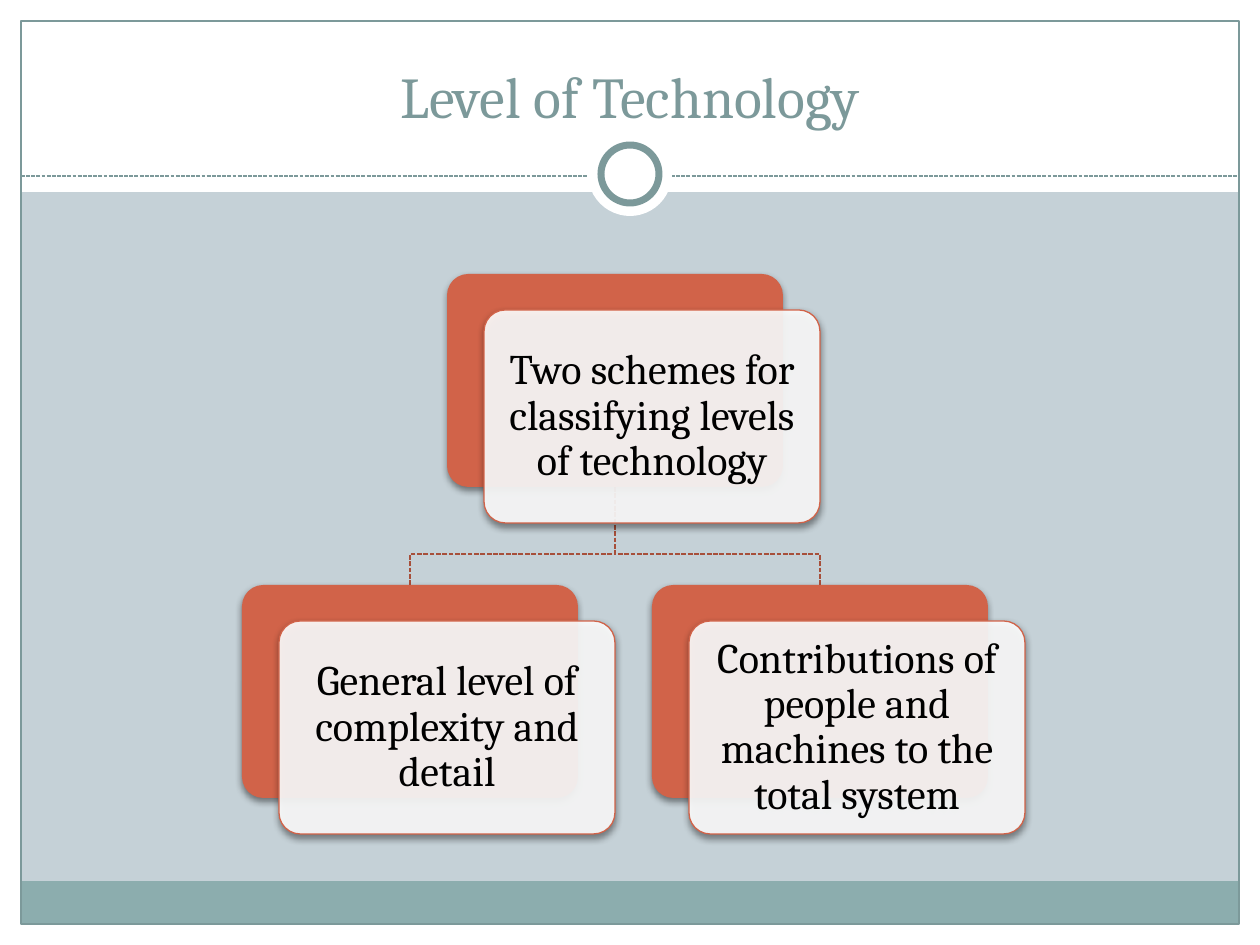
from lxml import etree
from pptx import Presentation
from pptx.dml.color import RGBColor
from pptx.enum.dml import MSO_LINE
from pptx.enum.shapes import MSO_CONNECTOR, MSO_SHAPE
from pptx.enum.text import MSO_ANCHOR, PP_ALIGN
from pptx.oxml.ns import qn
from pptx.util import Emu, Pt

PX = 914400 / 126
RECTANGLE, OVAL, ROUNDED = MSO_SHAPE.RECTANGLE, MSO_SHAPE.OVAL, MSO_SHAPE.ROUNDED_RECTANGLE
STRAIGHT = MSO_CONNECTOR.STRAIGHT
DASH = MSO_LINE.SQUARE_DOT
CENTER, MIDDLE, BOTTOM = PP_ALIGN.CENTER, MSO_ANCHOR.MIDDLE, MSO_ANCHOR.BOTTOM
FONT = "Cambria"
SLIDE_WIDTH, SLIDE_HEIGHT, MARGIN = 1260, 945, 21
WHITE, TEAL, FOOTER, ORANGE, BRANCH = "FFFFFF", "7C999A", "8CADAE", "D16349", "A74F3A"
CARD_WIDTH, CARD_HEIGHT = 336, 213
CARD_SHIFT_X, CARD_SHIFT_Y = 37, 36


def px(value):
    """Turn pixels into EMU."""
    return Emu(round(value * PX))


def color(value):
    """Turn a hex string into a colour."""
    return RGBColor.from_string(value)


def set_line(line, value, width, dash=None):
    """Set the colour, width and dash of a line."""
    line.color.rgb = color(value)
    line.width = Pt(width)
    if dash is not None:
        line.dash_style = dash


def add_box(slide, kind, box, fill=None, line=None, width=0.75):
    """Add a flat preset shape with an optional fill and outline."""
    shape = slide.shapes.add_shape(kind, *map(px, box))
    shape.shadow.inherit = False
    if fill:
        shape.fill.solid()
        shape.fill.fore_color.rgb = color(fill)
    else:
        shape.fill.background()
    if line:
        set_line(shape.line, line, width)
    else:
        shape.line.fill.background()
    return shape


def add_alpha(color_element, percent):
    """Make a colour element partly transparent."""
    etree.SubElement(color_element, qn("a:alpha"), val=str(percent * 1000))


def add_shadow(shape):
    """Give a shape a soft shadow below it."""
    effects = shape._element.spPr.find(qn("a:effectLst"))
    shadow = etree.SubElement(effects, qn("a:outerShdw"), blurRad=str(Pt(4)),
                              dist=str(Pt(2)), dir="5400000", rotWithShape="0")
    add_alpha(etree.SubElement(shadow, qn("a:srgbClr"), val="000000"), 45)


def add_frame(slide, width, height, margin):
    """Draw the white border, header, footer bar and ring."""
    inner_width, inner_height = width - 2 * margin, height - 2 * margin
    for box in ((0, height - margin, width, margin), (0, 0, width, 192),
                (0, 0, margin, height), (width - margin, 0, margin, height)):
        add_box(slide, RECTANGLE, box, WHITE)
    add_box(slide, RECTANGLE, (margin, height - margin - 43, inner_width, 43), FOOTER)
    add_box(slide, RECTANGLE, (margin, margin, inner_width, inner_height), line=TEAL)
    rule = slide.shapes.add_connector(STRAIGHT, px(margin), px(176), px(width - margin), px(176))
    set_line(rule.line, TEAL, 0.75, DASH)
    etree.SubElement(rule._element.spPr, qn("a:effectLst"))
    for diameter, line in ((84, None), (58, TEAL)):
        box = ((width - diameter) / 2, 174 - diameter / 2, diameter, diameter)
        add_box(slide, OVAL, box, WHITE, line, 4)


def add_title(slide, text, box):
    """Place the title placeholder above the frame."""
    title = slide.shapes.title
    slide.shapes._spTree.append(title._element)
    title.left, title.top, title.width, title.height = map(px, box)
    frame = title.text_frame
    frame.text = text
    frame.vertical_anchor = BOTTOM
    paragraph = frame.paragraphs[0]
    paragraph.alignment = CENTER
    paragraph.font.name = FONT
    paragraph.font.size = Pt(33)
    paragraph.font.color.rgb = color(TEAL)


def add_branch(slide, start, end, bend):
    """Draw a dashed elbow line that turns at the given height."""
    builder = slide.shapes.build_freeform(*start, scale=PX)
    builder.add_line_segments([(start[0], bend), (end[0], bend), end], close=False)
    shape = builder.convert_to_shape()
    shape.shadow.inherit = False
    shape.fill.background()
    set_line(shape.line, BRANCH, 0.9, DASH)


def add_card(slide, text, left, top):
    """Draw an orange plate with a translucent text card over it."""
    plate = add_box(slide, ROUNDED, (left, top, CARD_WIDTH, CARD_HEIGHT), ORANGE)
    card = add_box(slide, ROUNDED, (left + CARD_SHIFT_X, top + CARD_SHIFT_Y,
                                    CARD_WIDTH, CARD_HEIGHT), WHITE, ORANGE)
    for shape in (plate, card):
        shape.adjustments[0] = 0.1
        add_shadow(shape)
    add_alpha(card._element.spPr.find(qn("a:solidFill"))[0], 90)
    frame = card.text_frame
    frame.word_wrap = True
    frame.vertical_anchor = MIDDLE
    frame.margin_left = frame.margin_right = frame.margin_top = frame.margin_bottom = px(6)
    frame.text = text
    paragraph = frame.paragraphs[0]
    paragraph.alignment = CENTER
    paragraph.line_spacing = 0.9
    paragraph.font.name = FONT
    paragraph.font.size = Pt(24)
    paragraph.font.color.rgb = color("000000")


def add_hierarchy(slide, root, children, left, top):
    """Draw a root card joined to two cards below it."""
    step, drop = 410, 311
    root_left = left + step / 2
    start = (round(root_left + CARD_WIDTH / 2), top + CARD_HEIGHT)
    child_lefts = [left + step * index for index in range(len(children))]
    for child_left in reversed(child_lefts):
        add_branch(slide, start, (child_left + CARD_WIDTH // 2, top + drop), top + 280)
    add_card(slide, root, root_left, top)
    for text, child_left in zip(children, child_lefts):
        add_card(slide, text, child_left, top + drop)


def main():
    """Build the slide and save it."""
    presentation = Presentation()
    presentation.slide_width, presentation.slide_height = px(SLIDE_WIDTH), px(SLIDE_HEIGHT)
    slide = presentation.slides.add_slide(presentation.slide_layouts[5])
    slide.background.fill.solid()
    slide.background.fill.fore_color.rgb = color("C5D1D7")
    add_frame(slide, SLIDE_WIDTH, SLIDE_HEIGHT, MARGIN)
    add_title(slide, "Level of Technology", (42, 32, 1176, 104))
    add_hierarchy(slide, "Two schemes for classifying levels of technology",
                  ("General level of complexity and detail",
                   "Contributions of people and machines to the total system"), 242, 274)
    presentation.save("out.pptx")


if __name__ == "__main__":
    main()
